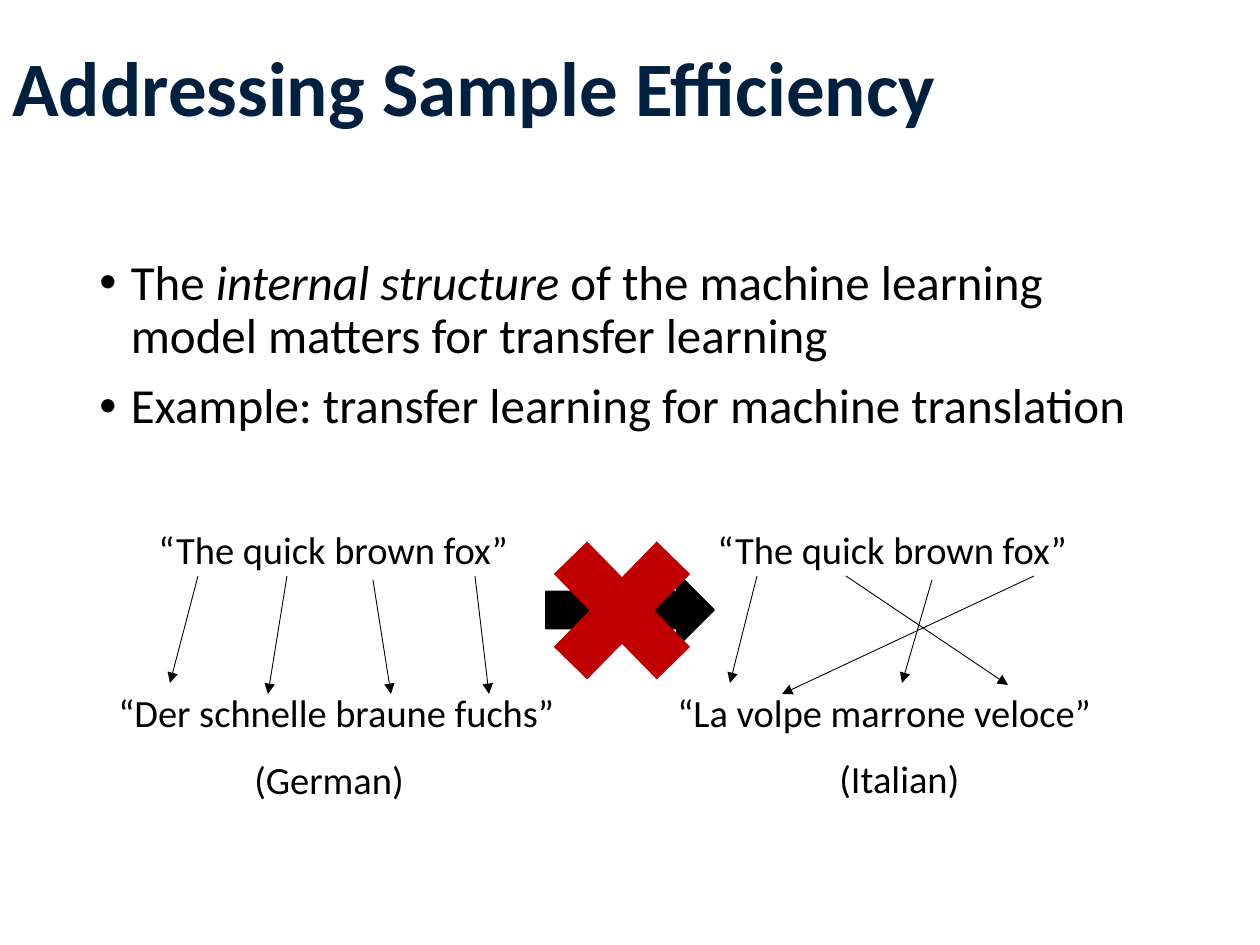
from dataclasses import dataclass

import pptx
import pptx.dml.color
import pptx.enum.shapes
import pptx.enum.text
import pptx.util
from lxml import etree
from pptx.oxml.ns import qn

PX = 914400 / 126  # EMU per px


@dataclass(frozen=True)
class Theme:
    font: str = "Calibri"
    navy: str = "002040"
    black: str = "000000"
    red: str = "C00000"
    title_pt: int = 44
    body_pt: int = 28
    example_pt: int = 22


@dataclass(frozen=True)
class Box:
    x: int
    y: int
    w: int
    h: int


@dataclass(frozen=True)
class Translation:
    dx: int
    target: str
    language: str
    label: Box
    arrow_ends: tuple[tuple[int, int], ...]


THEME = Theme()
SOURCE = "“The quick brown fox”"
WORD_STARTS = ((198, 576), (287, 576), (373, 580), (475, 576))
TRANSLATIONS = (
    Translation(0, "“Der schnelle braune fuchs”", "(German)", Box(242, 750, 200, 59),
                ((170, 683), (268, 694), (391, 694), (489, 694))),
    Translation(559, "“La volpe marrone veloce”", "(Italian)", Box(827, 749, 190, 59),
                ((730, 683), (1008, 685), (902, 683), (782, 694))),
)
BULLETS = (
    (("The", False), (" internal structure ", True),
     ("of the machine learning model matters for transfer learning", False)),
    (("Example: transfer learning for machine translation", False),),
)


def emu(px: int) -> int:
    return round(px * PX)


def rgb(color: str) -> pptx.dml.color.RGBColor:
    return pptx.dml.color.RGBColor.from_string(color)


def frame(box: Box) -> tuple[int, ...]:
    return tuple(emu(v) for v in (box.x, box.y, box.w, box.h))


def style_run(r, size: int, color: str, bold: bool = False, italic: bool = False) -> None:
    r.font.name = THEME.font
    r.font.size = pptx.util.Pt(size)
    r.font.color.rgb = rgb(color)
    r.font.bold = bold
    r.font.italic = italic


def add_text(s, box: Box, text: str, size: int, color: str = THEME.black, bold: bool = False):
    tf = s.shapes.add_textbox(*frame(box)).text_frame
    tf.word_wrap = True
    tf.text = text
    for r in tf.paragraphs[0].runs:
        style_run(r, size, color, bold)
    return tf


def add_bullets(s, box: Box) -> None:
    tf = s.shapes.add_textbox(*frame(box)).text_frame
    tf.word_wrap = True
    for i, parts in enumerate(BULLETS):
        p = tf.add_paragraph() if i else tf.paragraphs[0]
        p.line_spacing = 0.9
        p.space_before = pptx.util.Pt(10)
        pPr = p._p.get_or_add_pPr()
        indent = pptx.util.Inches(0.25)
        pPr.set("marL", str(indent))
        pPr.set("indent", str(-indent))
        etree.SubElement(pPr, qn("a:buFont"), typeface="Arial")
        etree.SubElement(pPr, qn("a:buChar"), char="•")
        for text, italic in parts:
            r = p.add_run()
            r.text = text
            style_run(r, THEME.body_pt, THEME.black, italic=italic)


def add_arrow(s, start: tuple[int, int], end: tuple[int, int]) -> None:
    line = s.shapes.add_connector(pptx.enum.shapes.MSO_CONNECTOR.STRAIGHT,
                                  *(emu(v) for v in start + end))
    line.line.color.rgb = rgb(THEME.black)
    line.line.width = pptx.util.Pt(0.5)
    etree.SubElement(line.line._get_or_add_ln(), qn("a:tailEnd"), type="triangle")
    etree.SubElement(line._element.spPr, qn("a:effectLst"))


def add_symbol(s, kind, box: Box, color: str, outlined: bool = False) -> None:
    sp = s.shapes.add_shape(kind, *frame(box))
    sp.shadow.inherit = False
    sp.fill.solid()
    sp.fill.fore_color.rgb = rgb(color)
    if outlined:
        sp.line.color.rgb = rgb(color)
        sp.line.width = pptx.util.Pt(1)
    else:
        sp.line.fill.background()


def add_translation(s, item: Translation) -> None:
    add_text(s, Box(146 + item.dx, 520, 394, 59), SOURCE, THEME.example_pt)
    add_text(s, Box(106 + item.dx, 683, 474, 59), item.target, THEME.example_pt)
    for (x, y), end in zip(WORD_STARTS, item.arrow_ends):
        add_arrow(s, (x + item.dx, y), end)
    add_text(s, item.label, item.language, THEME.example_pt)


def main() -> None:
    prs = pptx.Presentation()
    prs.slide_width, prs.slide_height = emu(1260), emu(945)
    s = prs.slides.add_slide(prs.slide_layouts[6])

    # Title and bullets
    tf = add_text(s, Box(0, 0, 1086, 183), "Addressing Sample Efficiency",
                  THEME.title_pt, THEME.navy, bold=True)
    tf.vertical_anchor = pptx.enum.text.MSO_ANCHOR.MIDDLE
    tf.paragraphs[0].line_spacing = 0.9
    add_bullets(s, Box(87, 252, 1086, 600))

    # Word alignments in both languages
    for item in TRANSLATIONS:
        add_translation(s, item)

    # Crossed-out transfer arrow
    shapes = pptx.enum.shapes.MSO_SHAPE
    add_symbol(s, shapes.RIGHT_ARROW, Box(546, 573, 168, 74), THEME.black, outlined=True)
    add_symbol(s, shapes.MATH_MULTIPLY, Box(523, 509, 198, 203), THEME.red)

    prs.save("out.pptx")


if __name__ == "__main__":
    main()
